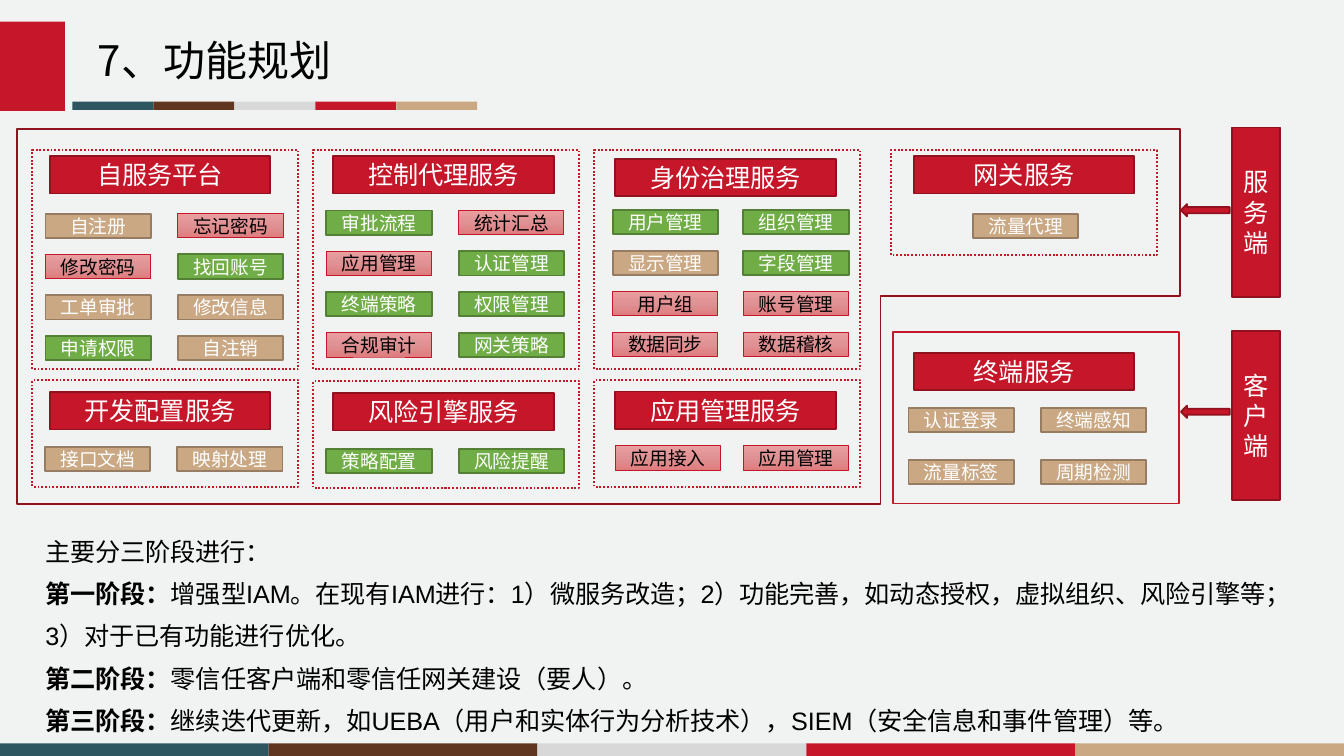
from copy import deepcopy
from pptx import Presentation
from pptx.dml.color import RGBColor
from pptx.enum.dml import MSO_LINE
from pptx.enum.shapes import MSO_SHAPE
from pptx.enum.text import MSO_ANCHOR, PP_ALIGN
from pptx.oxml.ns import qn
from pptx.util import Cm, Pt

RECT, LEFT_ARROW = MSO_SHAPE.RECTANGLE, MSO_SHAPE.LEFT_ARROW
DOTTED = MSO_LINE.ROUND_DOT
MIDDLE, CENTER = MSO_ANCHOR.MIDDLE, PP_ALIGN.CENTER

COLORS = {
    "paper": "F1F3F2", "teal": "2E5660", "brown": "613620", "grey": "D8D8D8",
    "red": "C51729", "dark_red": "92111E", "tan": "CAA884", "dark_tan": "957C62",
    "green": "70AD47", "dark_green": "538035", "white": "FFFFFF", "black": "000000",
    "pink_top": "E99EA0", "pink_mid": "DF9193", "pink_low": "DF7C7E",
}
PINK_STOPS = [(0, "pink_top"), (0.5, "pink_mid"), (1, "pink_low")]
STRIPES = ["teal", "brown", "grey", "red", "tan"]
CHIP_STYLES = {
    "tan": ("tan", "dark_tan", 1, "white"),
    "green": ("green", "dark_green", 1, "white"),
    "pink": (PINK_STOPS, "red", 0.5, "black"),
}

TITLE = "7、功能规划"
# (title, frame, header corner, first chip corner, chip pitch, rows of chips)
PANELS = [
    ("自服务平台", (0.61, 2.84, 5.03, 4.14), (0.94, 2.95), (0.86, 4.04), (2.5, 0.77), [
        [("自注册", "tan"), ("忘记密码", "pink")],
        [("修改密码", "pink"), ("找回账号", "green")],
        [("工单审批", "tan"), ("修改信息", "tan")],
        [("申请权限", "green"), ("自注销", "tan")]]),
    ("控制代理服务", (5.92, 2.84, 5.03, 4.14), (6.3, 2.95), (6.17, 3.98), (2.5, 0.77), [
        [("审批流程", "green"), ("统计汇总", "pink")],
        [("应用管理", "pink"), ("认证管理", "green")],
        [("终端策略", "green"), ("权限管理", "green")],
        [("合规审计", "pink"), ("网关策略", "green")]]),
    ("身份治理服务", (11.23, 2.84, 5.03, 4.14), (11.63, 3), (11.58, 3.97), (2.47, 0.77), [
        [("用户管理", "green"), ("组织管理", "green")],
        [("显示管理", "tan"), ("字段管理", "green")],
        [("用户组", "pink"), ("账号管理", "pink")],
        [("数据同步", "pink"), ("数据稽核", "pink")]]),
    ("开发配置服务", (0.61, 7.19, 5.03, 2.01), (0.94, 7.41), (0.85, 8.45), (2.5, 0.77), [
        [("接口文档", "tan"), ("映射处理", "tan")]]),
    ("风险引擎服务", (5.92, 7.21, 5.03, 2.01), (6.3, 7.43), (6.17, 8.49), (2.5, 0.77), [
        [("策略配置", "green"), ("风险提醒", "green")]]),
    ("应用管理服务", (11.23, 7.19, 5.03, 2.01), (11.63, 7.4), (11.63, 8.43), (2.42, 0.77), [
        [("应用接入", "pink"), ("应用管理", "pink")]]),
    ("网关服务", (16.84, 2.84, 5.03, 1.98), (17.27, 2.95), (18.39, 4.04), (2.5, 0.77), [
        [("流量代理", "tan")]]),
    ("终端服务", (16.87, 6.27, 5.41, 3.25), (17.27, 6.67), (17.17, 7.71), (2.5, 0.98), [
        [("认证登录", "tan"), ("终端感知", "tan")],
        [("流量标签", "tan"), ("周期检测", "tan")]]),
]
SOLID_PANEL = "终端服务"
SERVER_OUTLINE = [(0.33, 2.44), (22.3, 2.44), (22.3, 5.59),
                  (16.64, 5.59), (16.64, 9.52), (0.33, 9.52)]
SIDES = [("服务端", 2.41, 3.86), ("客户端", 6.25, 7.67)]
PHASES = [
    ("", "主要分三阶段进行："),
    ("第一阶段：", "增强型IAM。在现有IAM进行：1）微服务改造；2）功能完善，如动态授权，"
                "虚拟组织、风险引擎等；3）对于已有功能进行优化。"),
    ("第二阶段：", "零信任客户端和零信任网关建设（要人）。"),
    ("第三阶段：", "继续迭代更新，如UEBA（用户和实体行为分析技术），SIEM（安全信息和事件管理）等。"),
]


def rgb(color):
    return RGBColor.from_string(COLORS[color])


def paint(shape, fill=None, line=None, width=1, dash=None):
    shape.shadow.inherit = False
    if fill is None:
        shape.fill.background()
    elif isinstance(fill, str):
        shape.fill.solid()
        shape.fill.fore_color.rgb = rgb(fill)
    else:
        shape.fill.gradient()
        shape.fill.gradient_angle = 270
        stops = shape._element.spPr.find(".//" + qn("a:gsLst"))
        stops.append(deepcopy(stops[0]))
        for stop, (position, color) in zip(shape.fill.gradient_stops, fill):
            stop.position = position
            stop.color.rgb = rgb(color)
    if line is None:
        shape.line.fill.background()
    else:
        shape.line.color.rgb = rgb(line)
        shape.line.width = Pt(width)
        if dash:
            shape.line.dash_style = dash


def add_run(paragraph, text, size, color="black", font="Arial", bold=False):
    run = paragraph.add_run()
    run.text = text
    run.font.name, run.font.size, run.font.bold = font, Pt(size), bold
    run.font.color.rgb = rgb(color)


def add_block(box, *style, kind=RECT, dash=None):
    block = slide.shapes.add_shape(kind, *map(Cm, box))
    paint(block, *style, dash=dash)
    return block


def add_label(box, text, size, fill, line, width, color):
    frame = add_block(box, fill, line, width).text_frame
    frame.word_wrap = True
    frame.vertical_anchor = MIDDLE
    frame.margin_left = frame.margin_right = Cm(0.2)
    frame.margin_top = frame.margin_bottom = 0
    frame.paragraphs[0].alignment = CENTER
    add_run(frame.paragraphs[0], text, size, color)


def add_stripes(left, top, width, height):
    for index, color in enumerate(STRIPES):
        add_block((left + index * width, top, width, height), color)


def add_text(box):
    frame = slide.shapes.add_textbox(*map(Cm, box)).text_frame
    frame.word_wrap = True
    return frame


prs = Presentation()
prs.slide_width, prs.slide_height = Cm(25.4), Cm(14.29)
slide = prs.slides.add_slide(prs.slide_layouts[6])
slide.background.fill.solid()
slide.background.fill.fore_color.rgb = rgb("paper")

add_stripes(0, 14.05, 5.08, 0.25)
add_block((0, 0.41, 1.23, 1.69), "red")
heading = add_text((1.6, 0.61, 9.32, 1.04))
heading.vertical_anchor = MIDDLE
add_run(heading.paragraphs[0], TITLE, 22.5, font="Noto Sans CJK SC")
add_stripes(1.37, 1.92, 1.53, 0.16)

for title, frame_box, header, (chip_x, chip_y), (step_x, step_y), rows in PANELS:
    add_block(frame_box, None, "red", 1, dash=None if title == SOLID_PANEL else DOTTED)
    add_label((*header, 4.17, 0.71), title, 13.5, "red", "dark_red", 1, "white")
    for row, chips in enumerate(rows):
        for column, (name, status) in enumerate(chips):
            corner = (chip_x + column * step_x, chip_y + row * step_y)
            add_label((*corner, 1.99, 0.46), name, 10, *CHIP_STYLES[status])

corners = [(Cm(x), Cm(y)) for x, y in SERVER_OUTLINE]
builder = slide.shapes.build_freeform(*corners[0])
builder.add_line_segments(corners[1:], close=True)
paint(builder.convert_to_shape(), None, "dark_red")

for side, side_top, arrow_top in SIDES:
    add_label((23.28, side_top, 0.92, 3.2), side, 13.5, "red", "dark_red", 1, "white")
    add_block((22.32, arrow_top, 0.92, 0.23), "red", "dark_red", kind=LEFT_ARROW)

plan = add_text((0.61, 9.78, 24.13, 3.96))
for index, (phase, detail) in enumerate(PHASES):
    paragraph = plan.add_paragraph() if index else plan.paragraphs[0]
    paragraph.line_spacing = 1.4
    if phase:
        add_run(paragraph, phase, 13.5, bold=True)
    add_run(paragraph, detail, 13.5)

prs.save("out.pptx")
